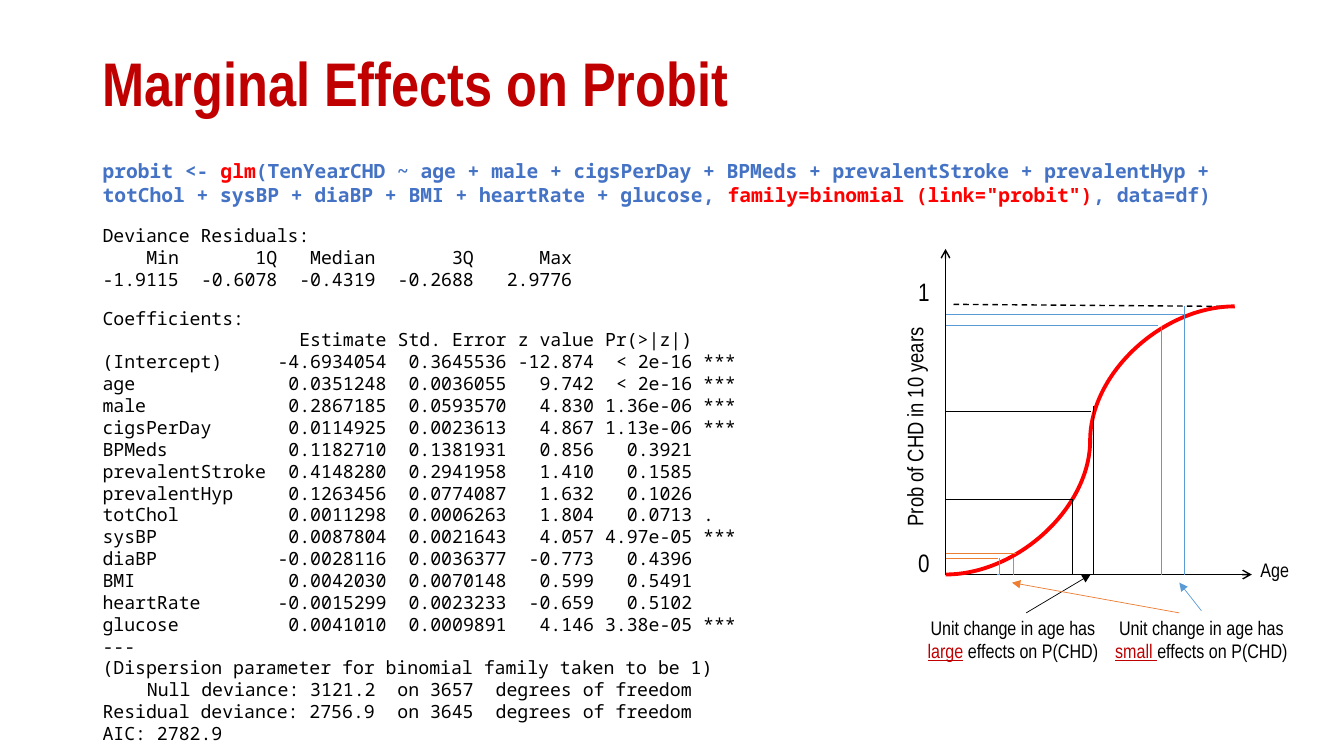
from dataclasses import dataclass

from pptx import Presentation
from pptx.dml.color import RGBColor
from pptx.enum.dml import MSO_LINE
from pptx.enum.shapes import MSO_CONNECTOR
from pptx.enum.text import MSO_ANCHOR, PP_ALIGN
from pptx.oxml.ns import qn
from pptx.util import Pt
from lxml.etree import SubElement


@dataclass(frozen=True)
class Theme:
    black: str = "000000"
    crimson: str = "C00000"
    red: str = "FF0000"
    code: str = "4472C4"
    blue: str = "5B9BD5"
    orange: str = "ED7D31"
    narrow: str = "Arial Narrow"
    mono: str = "Noto Sans Mono"
    head: float = 44
    digit: float = 18
    axis: float = 16
    call: float = 14
    note: float = 14
    output: float = 13
    char: float = 7.8  # width of one output character
    thin: float = 0.5
    plain: float = 1
    thick: float = 2.75


class Page:
    def __init__(self, slide, theme):
        self.slide = slide
        self.theme = theme

    def box(self, left, top, width, height, wrap=True, turn=0):
        shape = self.slide.shapes.add_textbox(Pt(left), Pt(top), Pt(width), Pt(height))
        shape.rotation = turn
        shape.text_frame.word_wrap = wrap
        return shape.text_frame

    def fill(self, para, parts, size, font, bold=False):
        """Fill a paragraph with (text, colour, underline) parts."""
        for text, color, under in parts:
            run = para.add_run()
            run.text = text
            run.font.name = font
            run.font.size = Pt(size)
            run.font.bold = bold
            run.font.underline = under
            run.font.color.rgb = RGBColor.from_string(color)

    def label(self, text, place, size, align=PP_ALIGN.LEFT, wrap=True, turn=0):
        para = self.box(*place, wrap=wrap, turn=turn).paragraphs[0]
        para.alignment = align
        self.fill(para, [(text, self.theme.black, False)], size, self.theme.narrow)

    def title(self, text, place):
        frame = self.box(*place)
        frame.vertical_anchor = MSO_ANCHOR.MIDDLE
        para = frame.paragraphs[0]
        para.line_spacing = 0.9
        style = self.theme
        self.fill(para, [(text, style.crimson, False)], style.head, style.narrow, True)

    def note(self, parts, place):
        para = self.box(*place).paragraphs[0]
        para.alignment = PP_ALIGN.CENTER
        self.fill(para, parts, self.theme.note, self.theme.narrow)

    def row(self, frame, cells, stops, gap):
        """Add a line of output; stops are (column, side) tab stops in characters."""
        style = self.theme
        para = frame.add_paragraph()
        para.space_before = Pt(gap)
        self.fill(para, [("\t".join(cells), style.black, False)], style.output, style.mono)
        if stops:
            tabs = SubElement(para._p.get_or_add_pPr(), qn("a:tabLst"))
            for column, side in stops:
                SubElement(tabs, qn("a:tab"), pos=str(int(Pt(column * style.char))), algn=side)

    def line(self, start, end, color, width, tip=None, dash=False,
             kind=MSO_CONNECTOR.STRAIGHT):
        wire = self.slide.shapes.add_connector(kind, *map(Pt, (*start, *end)))
        wire.line.color.rgb = RGBColor.from_string(color)
        wire.line.width = Pt(width)
        if dash:
            wire.line.dash_style = MSO_LINE.DASH
        props = wire._element.spPr
        if tip:
            SubElement(props.find(qn("a:ln")), qn("a:tailEnd"), type=tip)
        SubElement(props, qn("a:effectLst"))


CALL = [
    ("probit <- ", Theme.code, False),
    ("glm", Theme.red, False),
    ("(TenYearCHD ~ age + male + cigsPerDay + BPMeds + prevalentStroke + prevalentHyp + "
     "totChol + sysBP + diaBP + BMI + heartRate + glucose, ", Theme.code, False),
    ('family=binomial (link="probit")', Theme.red, False),
    (", data=df)", Theme.code, False),
]
SPREAD = [(column, "r") for column in (16, 25, 34, 43)]
FIT = [(26, "r"), (37, "r"), (45, "r"), (54, "r"), (55, "l")]
FREE = [(27, "l"), (36, "l")]
# Each block: tab stops, space before it, rows
BLOCKS = [
    ([], 13, [("Deviance Residuals:",)]),
    ([(7, "r"), *SPREAD], 0, [("", "Min", "1Q", "Median", "3Q", "Max")]),
    (SPREAD, 0, [("-1.9115", "-0.6078", "-0.4319", "-0.2688", "2.9776")]),
    ([], 12, [("Coefficients:",)]),
    (FIT, 0, [
        ("", "Estimate", "Std. Error", "z value", "Pr(>|z|)"),
        ("(Intercept)", "-4.6934054", "0.3645536", "-12.874", "< 2e-16", "***"),
        ("age", "0.0351248", "0.0036055", "9.742", "< 2e-16", "***"),
        ("male", "0.2867185", "0.0593570", "4.830", "1.36e-06", "***"),
        ("cigsPerDay", "0.0114925", "0.0023613", "4.867", "1.13e-06", "***"),
        ("BPMeds", "0.1182710", "0.1381931", "0.856", "0.3921"),
        ("prevalentStroke", "0.4148280", "0.2941958", "1.410", "0.1585"),
        ("prevalentHyp", "0.1263456", "0.0774087", "1.632", "0.1026"),
        ("totChol", "0.0011298", "0.0006263", "1.804", "0.0713", "."),
        ("sysBP", "0.0087804", "0.0021643", "4.057", "4.97e-05", "***"),
        ("diaBP", "-0.0028116", "0.0036377", "-0.773", "0.4396"),
        ("BMI", "0.0042030", "0.0070148", "0.599", "0.5491"),
        ("heartRate", "-0.0015299", "0.0023233", "-0.659", "0.5102"),
        ("glucose", "0.0041010", "0.0009891", "4.146", "3.38e-05", "***"),
    ]),
    ([], 0, [("---",), ("(Dispersion parameter for binomial family taken to be 1)",)]),
    ([(25, "r"), *FREE], 0, [("", "Null deviance: 3121.2", "on 3657", "degrees of freedom")]),
    (FREE, 0, [("Residual deviance: 2756.9", "on 3645", "degrees of freedom")]),
    ([], 0, [("AIC: 2782.9",)]),
]


def report(page):
    style = page.theme
    frame = page.box(66.2, 110.2, 817.9, 436.3)
    page.fill(frame.paragraphs[0], CALL, style.call, style.mono, True)
    for stops, gap, rows in BLOCKS:
        for cells in rows:
            page.row(frame, cells, stops, gap)


def graph(page):
    style = page.theme
    left, base = 675.4, 410.4
    right, top = 882, 218.9
    for end in ((left, 177.8), (894.2, base)):
        page.line((left, base), end, style.black, style.plain, tip="arrow")
    page.label("Prob of CHD in 10 years", (542.2, 249.8, 231.1, 35.3), style.axis, turn=-90)
    for digit, y in (("1", 193.7), ("0", 387.4)):
        page.label(digit, (648.7, y, 20.2, 38.9), style.digit, wrap=False)
    page.line((681.1, 217.4), (right, top), style.black, style.plain, dash=True)
    page.line((left, base), (right, top), style.red, style.thick, kind=MSO_CONNECTOR.CURVE)

    page.line((712.1, base), (714.2, base), style.blue, style.thin)
    drops = [(766.1, 356.4, style.black), (781.2, 290.2, style.black),
             (829.4, 232.6, style.blue), (846, top, style.blue),
             (714.2, 398.9, style.orange), (723.6, 398.9, style.orange)]
    for x, y, color in drops:
        page.line((x, y), (x, base), color, style.thin)
    levels = [(712.8, 398.9, style.orange), (725.8, 395.3, style.orange),
              (766.1, 356.4, style.black), (779, 293.8, style.black),
              (827.3, 232.6, style.blue), (846, 224.6, style.blue)]
    for x, y, color in levels:
        page.line((x, y), (left, y), color, style.thin)

    notes = [(647.3, "large", " effects on P(CHD)"), (781.9, "small ", "effects on P(CHD)")]
    for x, word, rest in notes:
        parts = [("Unit change in age has ", style.black, False),
                 (word, style.crimson, True), (rest, style.black, False)]
        page.note(parts, (x, 436.3, 152.6, 41))
    hints = [((733, 437.8), (779, base), style.black),
             ((842.4, 437.8), (722.9, 416.2), style.orange),
             ((858.2, 436.3), (842.4, 416.2), style.blue)]
    for start, end, color in hints:
        page.line(start, end, color, style.thin, tip="triangle")
    page.label("Age", (887.8, 395.3, 45.4, 24.5), style.note, PP_ALIGN.CENTER)


def main():
    deck = Presentation()
    deck.slide_width, deck.slide_height = Pt(960), Pt(540)
    page = Page(deck.slides.add_slide(deck.slide_layouts[6]), Theme())
    page.title("Marginal Effects on Probit", (66.2, 28.8, 828, 66.2))
    report(page)
    graph(page)
    deck.save("out.pptx")


if __name__ == "__main__":
    main()
